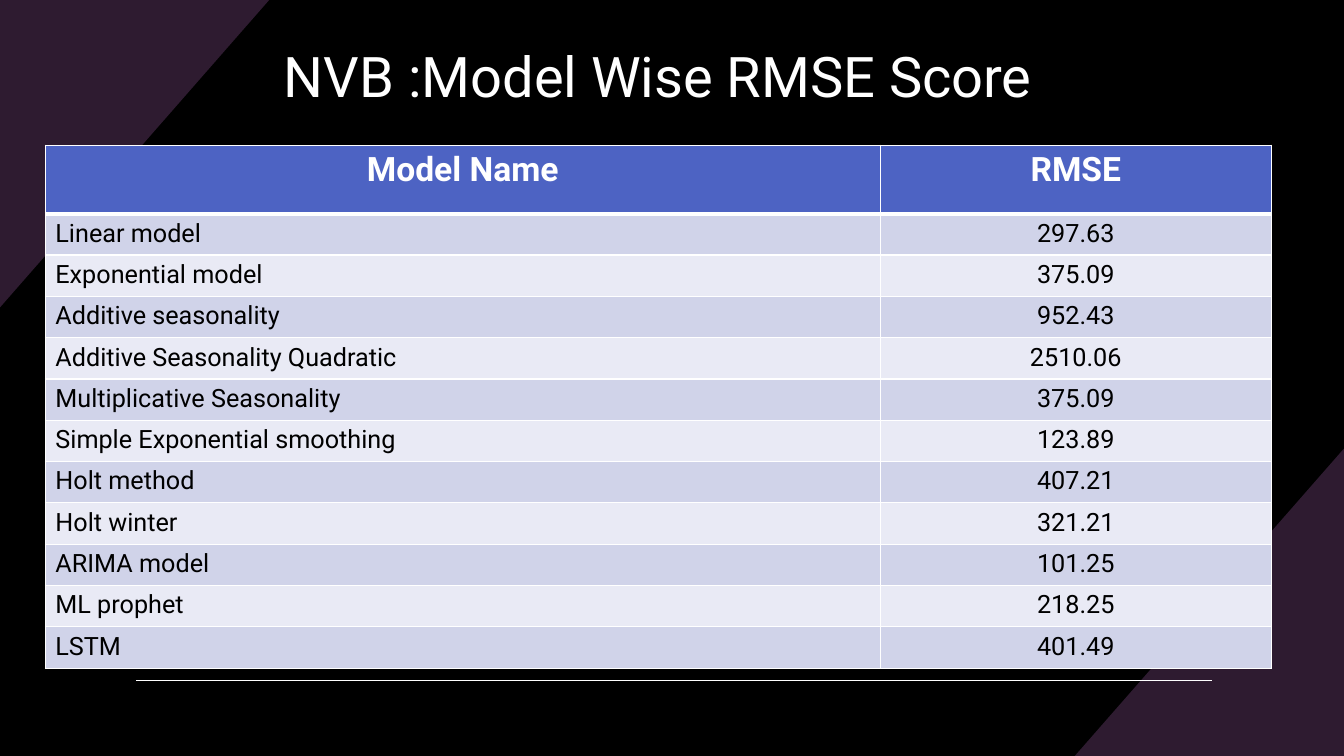
from dataclasses import dataclass

from lxml import etree
from pptx import Presentation
from pptx.dml.color import RGBColor
from pptx.enum.shapes import MSO_CONNECTOR
from pptx.enum.text import MSO_ANCHOR, PP_ALIGN
from pptx.oxml.ns import qn
from pptx.util import Inches, Pt

CENTER, LEFT = PP_ALIGN.CENTER, PP_ALIGN.LEFT
MIDDLE = MSO_ANCHOR.MIDDLE
STRAIGHT = MSO_CONNECTOR.STRAIGHT
TITLE_ONLY = 5


@dataclass(frozen=True)
class Theme:
    """Colours, font and type sizes of the slide."""
    background: str = "000000"
    corner: str = "2E1B30"
    light: str = "FFFFFF"
    dark: str = "000000"
    header: str = "4D63C3"
    bands: tuple = ("D0D3E9", "E9EAF5")
    font: str = "Roboto"
    title_size: int = 40
    header_size: int = 24
    body_size: int = 18


THEME = Theme()
WIDTH, HEIGHT = 13.33, 7.5
CORNER_WIDTH, CORNER_HEIGHT = 2.67, 3.05
COLUMN_WIDTHS = (8.28, 3.88)
HEADER_HEIGHT, ROW_HEIGHT = 0.68, 0.41
HEADINGS = ("Model Name", "RMSE")
SCORES = (
    ("Linear model", "297.63"),
    ("Exponential model", "375.09"),
    ("Additive seasonality", "952.43"),
    ("Additive Seasonality Quadratic", "2510.06"),
    ("Multiplicative Seasonality", "375.09"),
    ("Simple Exponential smoothing", "123.89"),
    ("Holt method", "407.21"),
    ("Holt winter", "321.21"),
    ("ARIMA model", "101.25"),
    ("ML prophet", "218.25"),
    ("LSTM", "401.49"),
)


def rgb(colour):
    """Turn a hex string into a colour."""
    return RGBColor.from_string(colour)


def write(frame, text, size, colour, align, bold=False):
    """Put one formatted paragraph into a text frame."""
    frame.text = text
    paragraph = frame.paragraphs[0]
    paragraph.alignment = align
    font = paragraph.runs[0].font
    font.name, font.size, font.bold = THEME.font, Pt(size), bold
    font.color.rgb = rgb(colour)


def add_corner(slide, x, y, dx, dy):
    """Fill a triangle whose right angle is at x, y."""
    builder = slide.shapes.build_freeform(Inches(x), Inches(y))
    builder.add_line_segments([(Inches(x + dx), Inches(y)), (Inches(x), Inches(y + dy))])
    corner = builder.convert_to_shape()
    corner.shadow.inherit = False
    corner.fill.solid()
    corner.fill.fore_color.rgb = rgb(THEME.corner)
    corner.line.fill.background()


def add_backdrop(slide, width, height):
    """Paint the background, two opposite corners and the footer rule."""
    slide.background.fill.solid()
    slide.background.fill.fore_color.rgb = rgb(THEME.background)
    add_corner(slide, width, height, -CORNER_WIDTH, -CORNER_HEIGHT)
    add_corner(slide, 0, 0, CORNER_WIDTH, CORNER_HEIGHT)
    rule_y = Inches(height - 0.75)
    rule = slide.shapes.add_connector(STRAIGHT, Inches(1.35), rule_y, Inches(width - 1.31), rule_y)
    rule.line.color.rgb = rgb(THEME.light)
    rule.line.width = Pt(1)
    etree.SubElement(rule._element.spPr, qn("a:effectLst"))


def add_title(slide, text, left, top, width, height):
    """Place the title in its box."""
    title = slide.shapes.title
    title.left, title.top = Inches(left), Inches(top)
    title.width, title.height = Inches(width), Inches(height)
    write(title.text_frame, text, THEME.title_size, THEME.light, CENTER)
    title.text_frame.vertical_anchor = MIDDLE


def add_borders(cell, top, bottom):
    """Draw the four cell borders, with given top and bottom widths."""
    properties = cell._tc.get_or_add_tcPr()
    for side, points in (("L", 1), ("R", 1), ("T", top), ("B", bottom)):
        border = etree.SubElement(properties, qn("a:ln" + side), w=str(Pt(points)))
        fill = etree.SubElement(border, qn("a:solidFill"))
        etree.SubElement(fill, qn("a:srgbClr"), val=THEME.light)


def add_score_table(slide, left, top):
    """Build the model and RMSE table from its top left corner."""
    rows = (HEADINGS,) + SCORES
    height = HEADER_HEIGHT + ROW_HEIGHT * len(SCORES)
    table = slide.shapes.add_table(
        len(rows), len(HEADINGS), Inches(left), Inches(top),
        Inches(sum(COLUMN_WIDTHS)), Inches(height)).table
    for column, width in zip(table.columns, COLUMN_WIDTHS):
        column.width = Inches(width)
    for r, row in enumerate(rows):
        is_header = r == 0
        table.rows[r].height = Inches(HEADER_HEIGHT if is_header else ROW_HEIGHT)
        for c, text in enumerate(row):
            cell = table.cell(r, c)
            add_borders(cell, 3 if r == 1 else 1, 3 if is_header else 1)
            cell.fill.solid()
            cell.fill.fore_color.rgb = rgb(THEME.header if is_header else THEME.bands[(r - 1) % 2])
            write(cell.text_frame, text,
                  THEME.header_size if is_header else THEME.body_size,
                  THEME.light if is_header else THEME.dark,
                  CENTER if is_header or c == 1 else LEFT, is_header)


def main():
    """Build and save the slide."""
    deck = Presentation()
    deck.slide_width, deck.slide_height = Inches(WIDTH), Inches(HEIGHT)
    slide = deck.slides.add_slide(deck.slide_layouts[TITLE_ONLY])
    add_backdrop(slide, WIDTH, HEIGHT)
    add_title(slide, "NVB :Model Wise RMSE Score", 1.11, 0, 10.83, 1.49)
    add_score_table(slide, 0.45, 1.44)
    deck.save("out.pptx")


if __name__ == "__main__":
    main()
